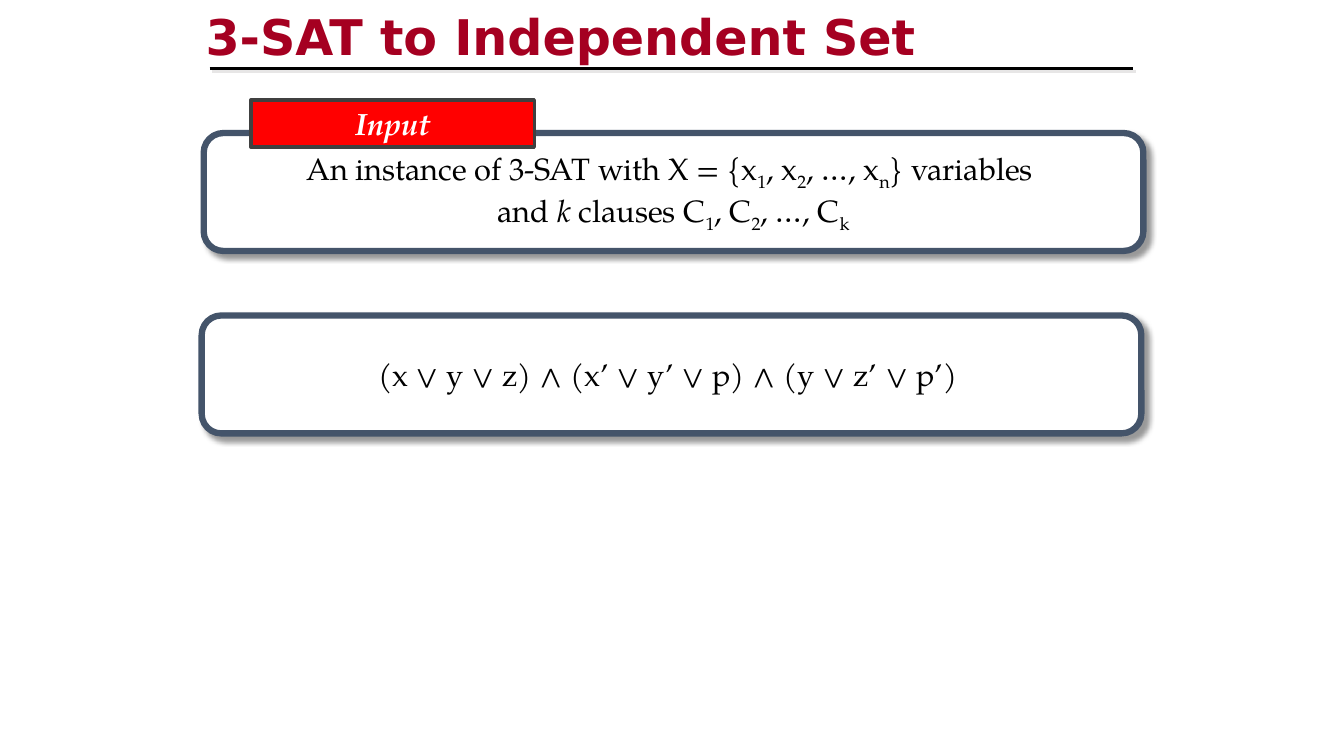
from dataclasses import dataclass
from typing import Any, Optional

import lxml.etree
import pptx
import pptx.dml.color
import pptx.enum.shapes
import pptx.enum.text
import pptx.oxml.ns
import pptx.util

Inches = pptx.util.Inches
Pt = pptx.util.Pt
RGBColor = pptx.dml.color.RGBColor
ShapeKind = pptx.enum.shapes.MSO_SHAPE

WHITE = RGBColor(0xFF, 0xFF, 0xFF)
BLACK = RGBColor(0x00, 0x00, 0x00)
CRIMSON = RGBColor(0xA5, 0x00, 0x21)
RED = RGBColor(0xFF, 0x00, 0x00)
SLATE = RGBColor(0x44, 0x54, 0x6A)
CHARCOAL = RGBColor(0x40, 0x40, 0x40)
PALE_GRAY = RGBColor(0xE7, 0xE6, 0xE6)

TITLE_FONT = "DejaVu Sans"
BODY_FONT = "TeX Gyre Pagella"
BODY_SIZE = 22


@dataclass(frozen=True)
class Shadow:
    color: RGBColor
    opacity: int
    blur: float
    distance: float


@dataclass(frozen=True)
class Span:
    text: str
    subscript: bool = False
    italic: bool = False
    bold: bool = False


@dataclass(frozen=True)
class Box:
    kind: ShapeKind
    left: float
    top: float
    width: float
    height: float
    fill: RGBColor
    border: RGBColor
    border_width: float
    text_color: RGBColor
    wrap: bool
    shadow: Optional[Shadow]
    lines: list[list[Span]]


PANEL_SHADOW = Shadow(BLACK, 40, 4, 4)
TITLE_SHADOW = Shadow(PALE_GRAY, 100, 0, 2.8)


def shadow_element(shadow: Shadow) -> Any:
    qn = pptx.oxml.ns.qn
    effects = lxml.etree.Element(qn("a:effectLst"))
    outer = lxml.etree.SubElement(
        effects,
        qn("a:outerShdw"),
        blurRad=str(Pt(shadow.blur)),
        dist=str(Pt(shadow.distance)),
        dir=str(45 * 60000),
        algn="tl",
        rotWithShape="0",
    )
    color = lxml.etree.SubElement(outer, qn("a:srgbClr"), val=str(shadow.color))
    lxml.etree.SubElement(color, qn("a:alpha"), val=str(shadow.opacity * 1000))
    return effects


def subscripted(name: str, indices: str) -> list[Span]:
    first, second, last = indices
    return [
        Span(name), Span(first, subscript=True),
        Span(f", {name}"), Span(second, subscript=True),
        Span(f", …, {name}"), Span(last, subscript=True),
    ]


def panel(left: float, top: float, lines: list[list[Span]]) -> Box:
    return Box(ShapeKind.ROUNDED_RECTANGLE, left, top, 9.32, 1.17,
               WHITE, SLATE, 4.5, BLACK, False, PANEL_SHADOW, lines)


def add_title(page: Any, text: str) -> None:
    box = page.shapes.add_textbox(Inches(1.94), Inches(0.01), Inches(8.5), Inches(0.67))
    frame = box.text_frame
    frame.word_wrap = True
    frame.text = text
    span = frame.paragraphs[0].runs[0]
    span.font.size = Pt(35.1)
    span.font.bold = True
    span.font.color.rgb = CRIMSON
    span._r.get_or_add_rPr().append(shadow_element(TITLE_SHADOW))
    span.font.name = TITLE_FONT


def add_rule(page: Any) -> None:
    rule = page.shapes.add_connector(
        pptx.enum.shapes.MSO_CONNECTOR.STRAIGHT,
        Inches(2.08), Inches(0.68), Inches(11.24), Inches(0.68),
    )
    rule.line.color.rgb = BLACK
    rule.line.width = Pt(2.25)
    rule._element.spPr.append(shadow_element(TITLE_SHADOW))


def add_box(page: Any, box: Box) -> None:
    shape = page.shapes.add_shape(
        box.kind, Inches(box.left), Inches(box.top), Inches(box.width), Inches(box.height)
    )
    shape.fill.solid()
    shape.fill.fore_color.rgb = box.fill
    shape.line.color.rgb = box.border
    shape.line.width = Pt(box.border_width)
    if box.shadow:
        shape._element.spPr.append(shadow_element(box.shadow))
    else:
        shape.shadow.inherit = False
    frame = shape.text_frame
    frame.word_wrap = box.wrap
    frame.vertical_anchor = pptx.enum.text.MSO_ANCHOR.MIDDLE
    for number, line in enumerate(box.lines):
        para = frame.add_paragraph() if number else frame.paragraphs[0]
        para.alignment = pptx.enum.text.PP_ALIGN.CENTER
        for part in line:
            span = para.add_run()
            span.text = part.text
            span.font.name = BODY_FONT
            span.font.size = Pt(BODY_SIZE)
            span.font.color.rgb = box.text_color
            span.font.bold = part.bold
            span.font.italic = part.italic
            if part.subscript:
                span._r.get_or_add_rPr().set("baseline", "-25000")


BOXES = [
    panel(2.02, 1.32, [
        [Span("An instance of 3-SAT with X = {"), *subscripted("x", "12n"),
         Span("} variables ")],
        [Span("and "), Span("k", italic=True), Span(" clauses "),
         *subscripted("C", "12k")],
    ]),
    Box(ShapeKind.RECTANGLE, 2.49, 0.99, 2.81, 0.47, RED, CHARCOAL, 2.5, WHITE,
        True, None, [[Span("Input", italic=True, bold=True)]]),
    panel(2, 3.13, [[Span("(x ∨ y ∨ z) ∧ (x’ ∨ y’ ∨ p) ∧ (y ∨ z’ ∨ p’) ")]]),
]


def main() -> None:
    deck = pptx.Presentation()
    deck.slide_width = Inches(13.33)
    deck.slide_height = Inches(7.5)
    page = deck.slides.add_slide(deck.slide_layouts[6])
    add_title(page, "3-SAT to Independent Set")
    add_rule(page)
    for box in BOXES:
        add_box(page, box)
    deck.save("out.pptx")


if __name__ == "__main__":
    main()
